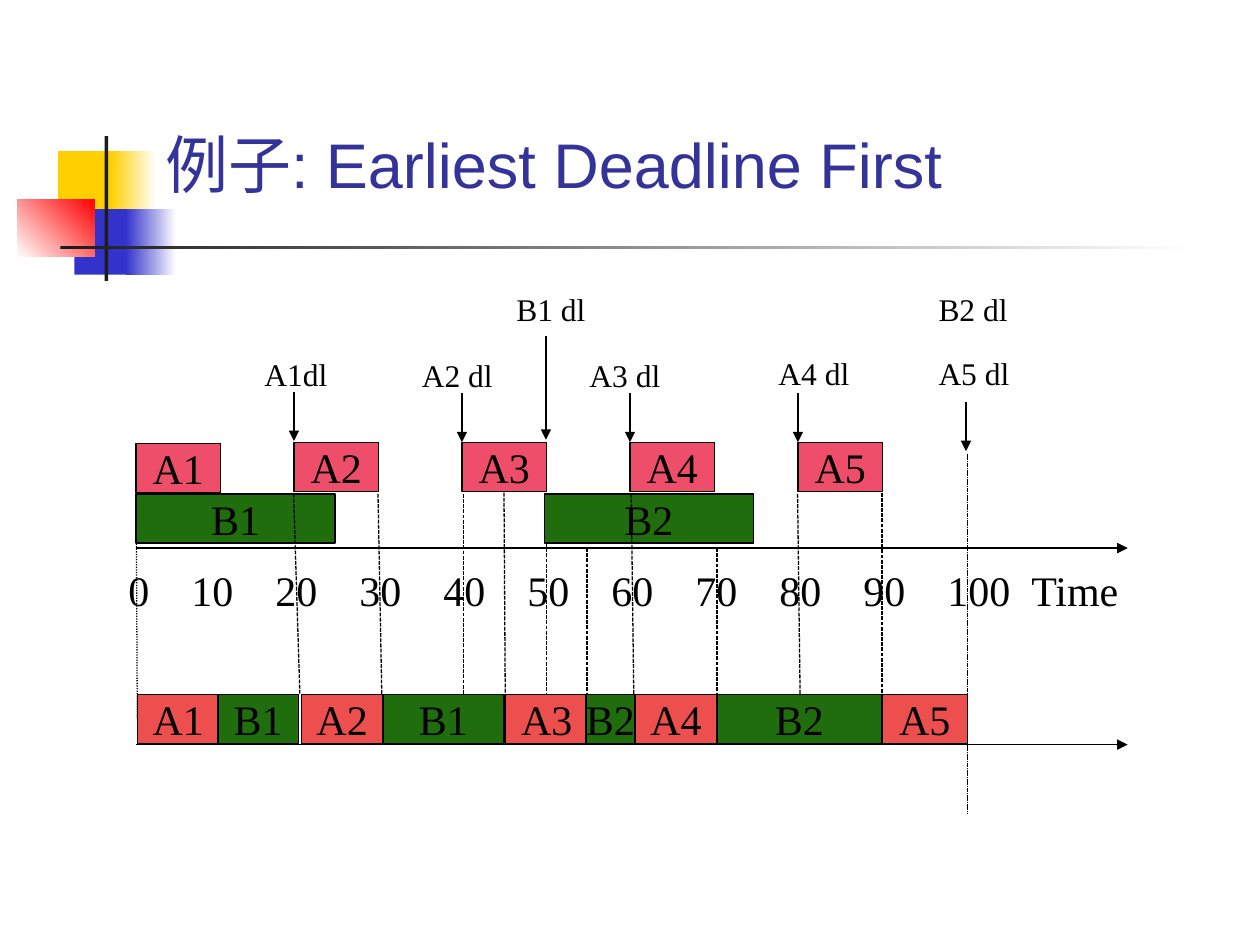
from dataclasses import dataclass

from lxml import etree
from pptx import Presentation
from pptx.dml.color import RGBColor
from pptx.enum.dml import MSO_LINE
from pptx.enum.shapes import MSO_CONNECTOR, MSO_SHAPE
from pptx.enum.text import MSO_ANCHOR, MSO_AUTO_SIZE, PP_ALIGN
from pptx.oxml.ns import qn
from pptx.util import Inches, Pt

RECT = MSO_SHAPE.RECTANGLE
STRAIGHT = MSO_CONNECTOR.STRAIGHT
DOT, DASH = MSO_LINE.ROUND_DOT, MSO_LINE.SQUARE_DOT
LEFT, CENTER = PP_ALIGN.LEFT, PP_ALIGN.CENTER
TOP, MIDDLE = MSO_ANCHOR.TOP, MSO_ANCHOR.MIDDLE
NO_FIT = MSO_AUTO_SIZE.NONE

COLORS = {
    "title": "333399", "black": "000000", "white": "FFFFFF",
    "yellow": "FFCF01", "blue": "3333CC", "red": "FF0000", "dark": "1C1C1C",
    "release": "EE4E69", "run": "ED4F4F", "task_b": "1F6D0D",
}
SERIF = "Times New Roman"
BLOCK_H = 0.39
RELEASE_Y, TASK_B_Y, AXIS_Y = 3.51, 3.92, 4.35
RUN_Y, RUN_AXIS_Y = 5.51, 5.91
AXIS_LEFT, AXIS_RIGHT = 1.08, 8.95
TICK_STEP = 2 / 3


@dataclass
class Ornament:
    left: float
    top: float
    width: float
    height: float
    start: str
    end: str = ""
    angle: float = 0


@dataclass
class Block:
    name: str
    left: float
    top: float
    width: float
    color: str


@dataclass
class Deadline:
    text: str
    time: int
    label_left: float
    label_top: float
    arrow_top: float
    arrow_bottom: float


@dataclass
class Guide:
    x1: float
    y1: float
    x2: float
    y2: float = RUN_Y
    dash: MSO_LINE = DASH
    width: float = 0.75


def time_x(time: int) -> float:
    return 1 + time / 10 * TICK_STEP


ORNAMENTS = [
    Ornament(0.46, 1.2, 0.48, 0.52, "yellow"),
    Ornament(0.88, 1.2, 0.36, 0.52, "yellow", "white"),
    Ornament(0.59, 1.66, 0.46, 0.52, "blue"),
    Ornament(1, 1.66, 0.4, 0.52, "blue", "white"),
    Ornament(0.14, 1.58, 0.61, 0.46, "white", "red", 45),
    Ornament(0.83, 1.08, 0.03, 1.15, "dark"),
    Ornament(0.48, 1.95, 9, 0.03, "dark", "white"),
]
RELEASES = [
    Block("B1", 1.08, TASK_B_Y, 1.58, "task_b"),
    Block("A1", 1.08, RELEASE_Y + 0.01, 0.67, "release"),
    Block("B2", 4.32, TASK_B_Y, 1.66, "task_b"),
] + [Block(f"A{n}", time_x(20 * (n - 1)), RELEASE_Y, 0.67, "release")
     for n in range(2, 6)]
SCHEDULE = [
    ("A1", 1.09, 0.65), ("B1", 1.73, 0.64), ("A2", 2.39, 0.65),
    ("B1", 3.04, 0.96), ("A3", 4.01, 0.66), ("B2", 5.69, 1.31),
    ("A5", 7, 0.68), ("B2", 4.65, 0.39), ("A4", 5.04, 0.65),
]
RUNS = [Block(name, left, RUN_Y, width, "run" if name[0] == "A" else "task_b")
        for name, left, width in SCHEDULE]
DEADLINES = [
    Deadline("A1dl", 20, 2, 2.77, 3.11, 3.5),
    Deadline("A2 dl", 40, 3.25, 2.78, 3.12, 3.51),
    Deadline("B1 dl", 50, 4, 2.25, 2.67, 3.49),
    Deadline("A3 dl", 60, 4.58, 2.78, 3.12, 3.51),
    Deadline("A4 dl", 80, 6.08, 2.76, 3.12, 3.51),
    Deadline("B2 dl", 100, 7.35, 2.25, 3.19, 3.58),
    Deadline("A5 dl", 100, 7.35, 2.76, 3.19, 3.58),
]
GUIDES = [
    Guide(7.68, 3.6, 7.68, 6.46, width=0.25),
    Guide(2.33, 3.92, 2.38), Guide(3, 3.92, 3.03), Guide(3.68, 3.92, 3.68),
    Guide(4, 3.91, 4.01), Guide(4.34, 4.31, 4.34), Guide(4.66, 4.35, 4.66),
    Guide(5.01, 3.92, 5.03), Guide(5.69, 4.35, 5.69), Guide(6.33, 3.92, 6.35),
    Guide(7, 3.91, 7),
]


def rgb(name: str) -> RGBColor:
    return RGBColor.from_string(COLORS[name])


def write(sp, text: str, *, size=24, font=SERIF, color="black", align=LEFT,
          anchor=TOP, wrap=True, tabs=()) -> None:
    tf = sp.text_frame
    tf.auto_size = NO_FIT
    tf.word_wrap = wrap
    tf.vertical_anchor = anchor
    p = tf.paragraphs[0]
    p.alignment = align
    if tabs:
        tab_list = etree.SubElement(p._p.get_or_add_pPr(), qn("a:tabLst"))
        for pos in tabs:
            etree.SubElement(tab_list, qn("a:tab"), pos=str(Inches(pos)), algn="l")
    r = p.add_run()
    r.text = text
    r.font.size = Pt(size)
    r.font.name = font
    r.font.color.rgb = rgb(color)


def add_label(s, text: str, left: float, top: float, width: float,
              height: float, **fmt) -> None:
    sp = s.shapes.add_textbox(Inches(left), Inches(top), Inches(width), Inches(height))
    write(sp, text, **fmt)


def add_rect(s, left: float, top: float, width: float, height: float):
    sp = s.shapes.add_shape(RECT, Inches(left), Inches(top), Inches(width), Inches(height))
    sp.shadow.inherit = False
    return sp


def add_ornament(s, o: Ornament) -> None:
    sp = add_rect(s, o.left, o.top, o.width, o.height)
    sp.line.fill.background()
    if o.end:
        sp.fill.gradient()
        sp.fill.gradient_angle = o.angle
        for stop, name in zip(sp.fill.gradient_stops, (o.start, o.end)):
            stop.color.rgb = rgb(name)
    else:
        sp.fill.solid()
        sp.fill.fore_color.rgb = rgb(o.start)


def add_block(s, b: Block) -> None:
    sp = add_rect(s, b.left, b.top, b.width, BLOCK_H)
    sp.fill.solid()
    sp.fill.fore_color.rgb = rgb(b.color)
    sp.line.color.rgb = rgb("black")
    sp.line.width = Pt(0.75)
    write(sp, b.name, align=CENTER, anchor=MIDDLE, wrap=False)


def add_line(s, x1: float, y1: float, x2: float, y2: float, width=0.75,
             dash=None, arrow=False) -> None:
    line = s.shapes.add_connector(STRAIGHT, Inches(x1), Inches(y1), Inches(x2), Inches(y2))
    line.line.color.rgb = rgb("black")
    line.line.width = Pt(width)
    if dash:
        line.line.dash_style = dash
    if arrow:
        etree.SubElement(line.line._get_or_add_ln(), qn("a:tailEnd"), type="triangle")
    etree.SubElement(line._element.spPr, qn("a:effectLst"))


def add_guide(s, g: Guide) -> None:
    add_line(s, g.x1, g.y1, g.x2, g.y2, g.width, g.dash)


def main() -> None:
    prs = Presentation()
    prs.slide_width, prs.slide_height = Inches(10), Inches(7.5)
    s = prs.slides.add_slide(prs.slide_layouts[5])
    for o in ORNAMENTS:
        add_ornament(s, o)
    title = s.shapes.title
    title.left, title.top = Inches(1.21), Inches(0.67)
    title.width, title.height = Inches(8.92), Inches(1.25)
    write(title, "例子: Earliest Deadline First", size=36, font="Arial",
          color="title", anchor=MIDDLE)

    add_guide(s, Guide(AXIS_LEFT, 3.72, 1.09, 5.71, DOT))
    add_line(s, AXIS_LEFT, AXIS_Y, AXIS_RIGHT, AXIS_Y, 1.5, arrow=True)
    add_line(s, AXIS_LEFT, RUN_AXIS_Y, AXIS_RIGHT, RUN_AXIS_Y, arrow=True)
    ticks = [str(t) for t in range(0, 101, 10)] + ["Time"]
    add_label(s, "\t".join(ticks), 0.92, 4.43, 8.2, 0.5,
              tabs=[0.5 + TICK_STEP * i for i in range(len(ticks) - 1)])
    for b in RELEASES + RUNS:
        add_block(s, b)
    for d in DEADLINES:
        add_label(s, d.text, d.label_left, d.label_top, 0.85, 0.4, size=18)
    for time, top, bottom in sorted({(d.time, d.arrow_top, d.arrow_bottom) for d in DEADLINES}):
        add_line(s, time_x(time), top, time_x(time), bottom, arrow=True)
    for g in GUIDES:
        add_guide(s, g)
    prs.save("out.pptx")


if __name__ == "__main__":
    main()
